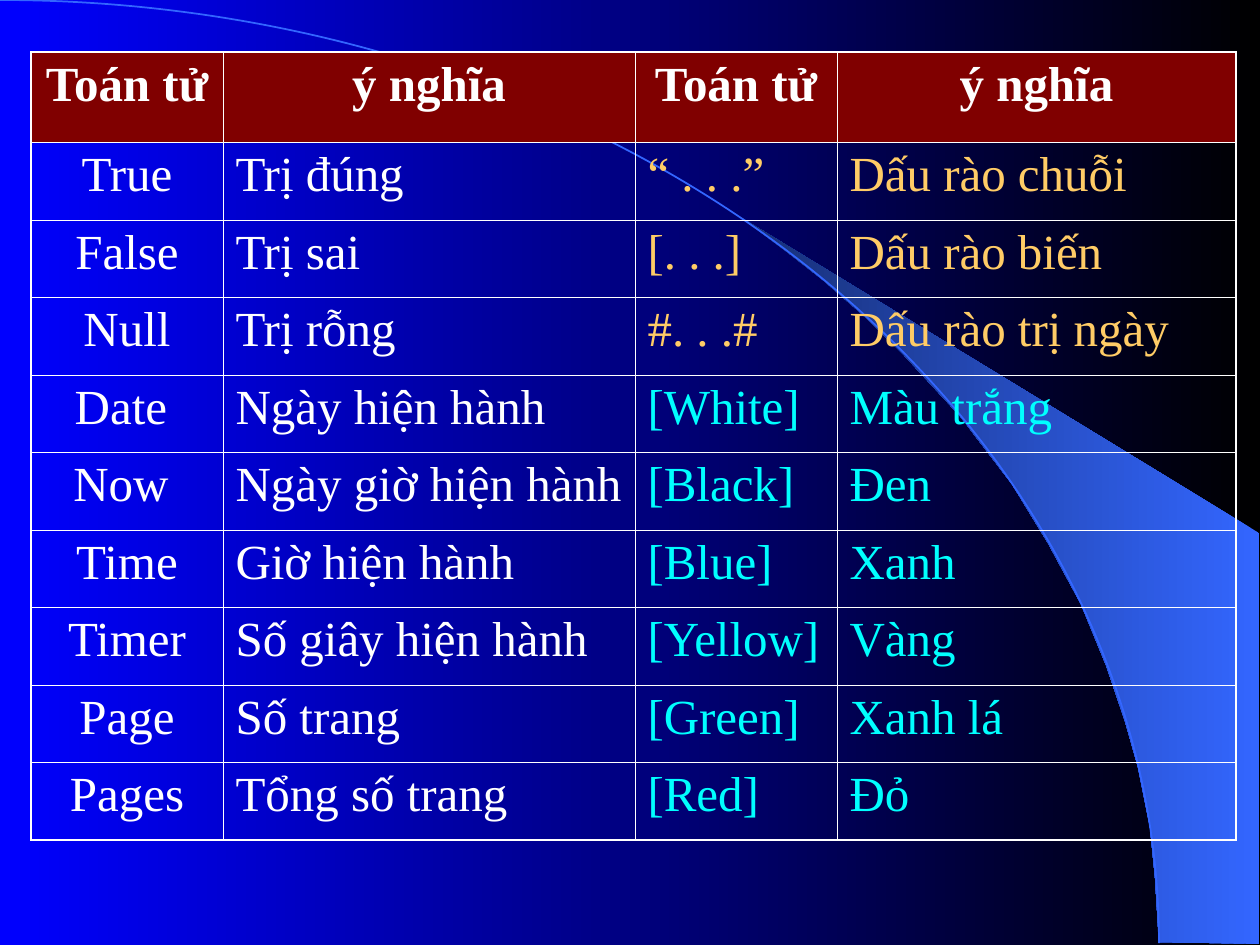
import lxml.etree
import pptx
import pptx.dml.color
import pptx.enum.shapes
import pptx.enum.text
import pptx.oxml.ns
import pptx.util

PX = 914400 / 126
COLORS = {
    "white": "FFFFFF", "black": "000000", "blue": "0000FF", "maroon": "800000",
    "gold": "FFCC66", "aqua": "00FFFF", "arc": "3366FF", "shade": "172F75",
}
COLUMN_WIDTHS = [192, 412, 202, 399]
ROWS = [
    ("Toán tử", "ý nghĩa", "Toán tử", "ý nghĩa"),
    ("True", "Trị đúng", "“ . . .”", "Dấu rào chuỗi"),
    ("False", "Trị sai", "[. . .]", "Dấu rào biến"),
    ("Null", "Trị rỗng", "#. . .#", "Dấu rào trị ngày"),
    ("Date ", "Ngày hiện hành", "[White]", "Màu trắng"),
    ("Now ", "Ngày giờ hiện hành", "[Black]", "Đen"),
    ("Time", "Giờ hiện hành", "[Blue]", "Xanh"),
    ("Timer", "Số giây hiện hành", "[Yellow]", "Vàng"),
    ("Page", "Số trang", "[Green]", "Xanh lá"),
    ("Pages", "Tổng số trang", "[Red]", "Đỏ"),
]
CRESCENT = [
    (1159, 942), (1259, 944), (1259, 533), (742, 218), (786, 251), (823, 280),
    (863, 315), (902, 353), (960, 416), (1012, 484), (1048, 543), (1081, 604),
    (1106, 665), (1125, 721), (1138, 767), (1150, 827), (1155, 877),
]


def px(length):
    """Turn pixels into EMU."""
    return pptx.util.Emu(round(length * PX))


def rgb(name):
    """Look up a named colour."""
    return pptx.dml.color.RGBColor.from_string(COLORS[name])


def apply_format(target, values):
    """Set each attribute in values on the target."""
    for name, value in values.items():
        setattr(target, name, value)


def fill_gradient(fill, start, end):
    """Fill with a gradient that runs from right to left."""
    fill.gradient()
    fill.gradient_angle = 180
    for stop, name in zip(fill.gradient_stops, (start, end)):
        stop.color.rgb = rgb(name)


def add_crescent(page):
    """Draw the shaded area right of the arc."""
    builder = page.shapes.build_freeform(*CRESCENT[0], scale=PX)
    builder.add_line_segments(CRESCENT[1:], close=True)
    crescent = builder.convert_to_shape()
    crescent.shadow.inherit = False
    crescent.line.fill.background()
    fill_gradient(crescent.fill, "arc", "shade")


def add_arc(page):
    """Draw the quarter ellipse across the page."""
    arc = page.shapes.add_shape(
        pptx.enum.shapes.MSO_SHAPE.ARC, px(-1159), 0, px(2318), px(1886))
    arc.shadow.inherit = False
    arc.fill.background()
    arc.line.color.rgb = rgb("arc")
    arc.line.width = pptx.util.Pt(1)


def set_borders(cell, outer_sides):
    """Draw white cell borders, thicker on the outer sides."""
    qn = pptx.oxml.ns.qn
    properties = cell._tc.get_or_add_tcPr()
    for index, side in enumerate("LRTB"):
        width = pptx.util.Pt(1.08 if side in outer_sides else 0.45)
        border = lxml.etree.Element(qn(f"a:ln{side}"), w=str(int(width)))
        solid = lxml.etree.SubElement(border, qn("a:solidFill"))
        lxml.etree.SubElement(solid, qn("a:srgbClr"), val=COLORS["white"])
        properties.insert(index, border)


def write_cell(cell, text, color, centered, header):
    """Fill one cell with formatted text."""
    align = pptx.enum.text.PP_ALIGN
    if header:
        cell.fill.solid()
        cell.fill.fore_color.rgb = rgb("maroon")
    else:
        cell.fill.background()
    para = cell.text_frame.paragraphs[0]
    apply_format(para, {
        "alignment": align.CENTER if centered else align.LEFT,
        "space_before": pptx.util.Pt(7),
    })
    span = para.add_run()
    span.text = text
    apply_format(span.font, {
        "name": "Times New Roman", "size": pptx.util.Pt(28), "bold": header})
    span.font.color.rgb = rgb(color)


def text_color(row, column):
    """Choose white, gold for delimiters or aqua for colour codes."""
    if row == 0 or column < 2:
        return "white"
    return "gold" if row <= 3 else "aqua"


def add_operator_table(page):
    """Build the table of operators and meanings."""
    heights = [90] + [77 + row % 2 for row in range(1, len(ROWS))]
    table = page.shapes.add_table(
        len(ROWS), len(COLUMN_WIDTHS), px(31), px(52),
        px(sum(COLUMN_WIDTHS)), px(sum(heights))).table
    apply_format(table, {"first_row": False, "horz_banding": False})
    for column, width in zip(table.columns, COLUMN_WIDTHS):
        column.width = px(width)
    for line, height in zip(table.rows, heights):
        line.height = px(height)
    for row, texts in enumerate(ROWS):
        for column, text in enumerate(texts):
            cell = table.cell(row, column)
            header = row == 0
            write_cell(cell, text, text_color(row, column),
                       header or column == 0, header)
            edges = {"L": column == 0, "R": column == len(texts) - 1,
                     "T": header, "B": row == len(ROWS) - 1}
            set_borders(cell, [side for side, outer in edges.items() if outer])


def main():
    """Build and save the deck."""
    deck = pptx.Presentation()
    apply_format(deck, {"slide_width": px(1260), "slide_height": px(945)})
    page = deck.slides.add_slide(deck.slide_layouts[6])
    fill_gradient(page.background.fill, "black", "blue")
    add_crescent(page)
    add_arc(page)
    add_operator_table(page)
    deck.save("out.pptx")


if __name__ == "__main__":
    main()
